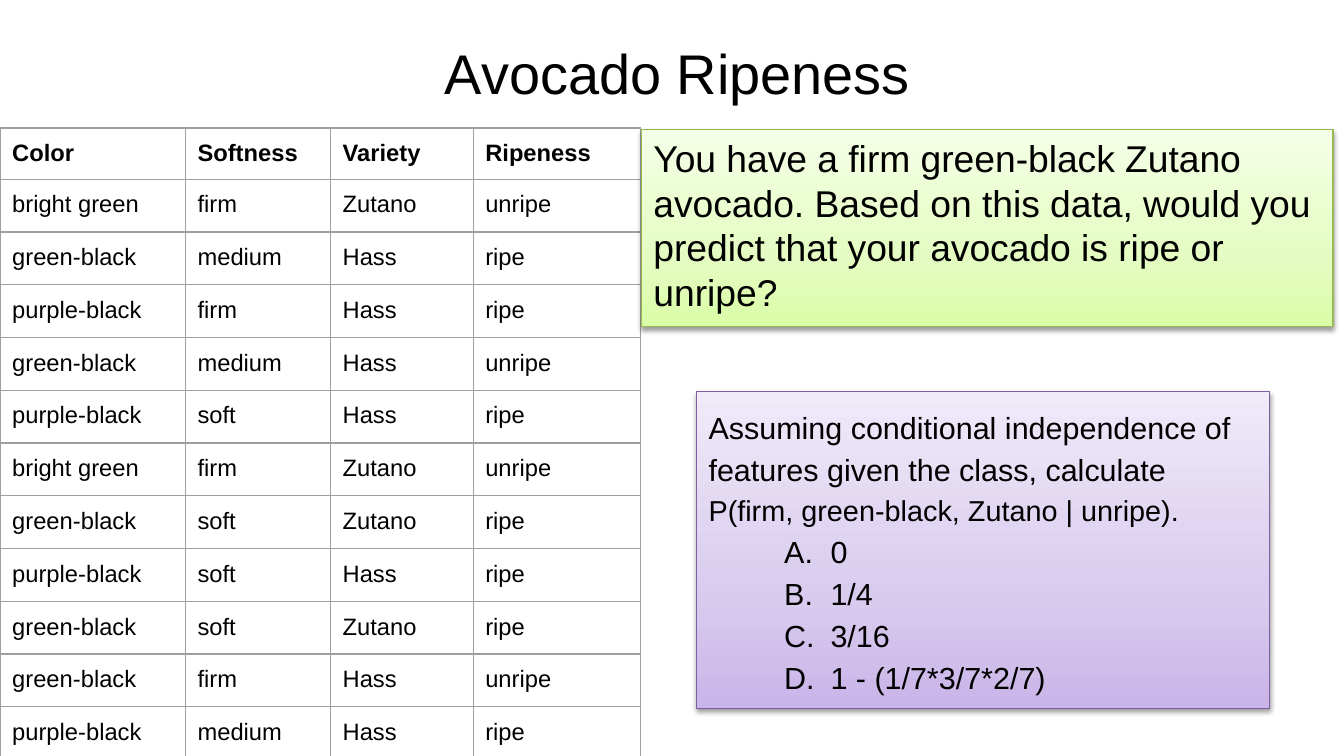
"""Build the Avocado Ripeness slide with its data table, prompt and quiz."""
from copy import deepcopy

from lxml import etree
from pptx import Presentation
from pptx import util as u
from pptx.dml.color import RGBColor
from pptx.enum import shapes, text
from pptx.oxml import ns

BLACK = RGBColor(0x00, 0x00, 0x00)
GREY = RGBColor(0x9E, 0x9E, 0x9E)
GREEN_LINE = RGBColor(0x98, 0xB9, 0x55)
GREEN_STOPS = [RGBColor(0xDA, 0xFD, 0xA7), RGBColor(0xE4, 0xFC, 0xC2), RGBColor(0xF5, 0xFF, 0xE7)]
PURPLE_LINE = RGBColor(0x7D, 0x60, 0xA0)
PURPLE_STOPS = [RGBColor(0xC9, 0xB5, 0xE8), RGBColor(0xD8, 0xCB, 0xEE), RGBColor(0xF0, 0xEA, 0xF9)]

AVOCADOS = [
    ("Color", "Softness", "Variety", "Ripeness"),
    ("bright green", "firm", "Zutano", "unripe"),
    ("green-black", "medium", "Hass", "ripe"),
    ("purple-black", "firm", "Hass", "ripe"),
    ("green-black", "medium", "Hass", "unripe"),
    ("purple-black", "soft", "Hass", "ripe"),
    ("bright green", "firm", "Zutano", "unripe"),
    ("green-black", "soft", "Zutano", "ripe"),
    ("purple-black", "soft", "Hass", "ripe"),
    ("green-black", "soft", "Zutano", "ripe"),
    ("green-black", "firm", "Hass", "unripe"),
    ("purple-black", "medium", "Hass", "ripe"),
]
COLUMN_WIDTHS = [1.52, 1.19, 1.17, 1.37]
ANSWERS = ["0", "1/4", "3/16", "1 - (1/7*3/7*2/7)"]


def add_run(p, words, size, bold=False):
    r = p.add_run()
    r.text = words
    r.font.name = "Arial"
    r.font.size = u.Pt(size)
    r.font.bold = bold
    r.font.color.rgb = BLACK


def style_box(sp, colors, line_color, margin_y):
    sp.fill.gradient()
    sp.fill.gradient_angle = 90
    stops = sp._element.spPr.find(ns.qn("a:gradFill")).find(ns.qn("a:gsLst"))
    stops.insert(1, deepcopy(stops[0]))
    for stop, color, position in zip(sp.fill.gradient_stops, colors, (0, 0.35, 1)):
        stop.color.rgb = color
        stop.position = position
    sp.line.color.rgb = line_color
    sp.line.width = u.Pt(0.75)
    sp.shadow.inherit = False
    effects = sp._element.spPr.find(ns.qn("a:effectLst"))
    shadow = etree.SubElement(effects, ns.qn("a:outerShdw"), blurRad=str(u.Pt(3.1)),
                              dist=str(u.Pt(1.6)), dir="5400000", rotWithShape="0")
    shade = etree.SubElement(shadow, ns.qn("a:srgbClr"), val=str(BLACK))
    etree.SubElement(shade, ns.qn("a:alpha"), val="38000")
    tf = sp.text_frame
    tf.word_wrap = True
    tf.auto_size = text.MSO_AUTO_SIZE.NONE
    tf.vertical_anchor = text.MSO_ANCHOR.TOP
    tf.margin_left = tf.margin_right = u.Inches(0.1)
    tf.margin_top = tf.margin_bottom = u.Inches(margin_y)


prs = Presentation()
prs.slide_width, prs.slide_height = u.Inches(11.02), u.Inches(6.2)
s = prs.slides.add_slide(prs.slide_layouts[1])

title = s.shapes.title
title.left, title.top = u.Inches(0.32), u.Inches(0.24)
title.width, title.height = u.Inches(10.47), u.Inches(0.71)
tf = title.text_frame
tf.auto_size = text.MSO_AUTO_SIZE.NONE
tf.vertical_anchor = text.MSO_ANCHOR.MIDDLE
tf.margin_left = tf.margin_right = tf.margin_top = tf.margin_bottom = 0
p = tf.paragraphs[0]
p.alignment = text.PP_ALIGN.CENTER
add_run(p, "Avocado Ripeness", 33)

table = s.shapes.add_table(len(AVOCADOS), len(COLUMN_WIDTHS), 0, u.Inches(1.05),
                           u.Inches(5.25), u.Inches(5.18)).table
table.first_row = table.horz_banding = False
for column, width in zip(table.columns, COLUMN_WIDTHS):
    column.width = u.Inches(width)
for i, values in enumerate(AVOCADOS):
    table.rows[i].height = u.Inches(0.42) if i == 0 else int(u.Inches(4.76) / 11)
    for j, value in enumerate(values):
        cell = table.cell(i, j)
        cell.margin_left = cell.margin_right = u.Inches(0.1)
        cell.margin_top = cell.margin_bottom = u.Inches(0.1)
        for side in ("a:lnL", "a:lnR", "a:lnT", "a:lnB"):
            border = etree.SubElement(cell._tc.get_or_add_tcPr(), ns.qn(side), w=str(u.Pt(0.75)))
            paint = etree.SubElement(border, ns.qn("a:solidFill"))
            etree.SubElement(paint, ns.qn("a:srgbClr"), val=str(GREY))
        cell.fill.background()
        add_run(cell.text_frame.paragraphs[0], value, 14, bold=i == 0)

prompt = s.shapes.add_shape(shapes.MSO_SHAPE.RECTANGLE, u.Inches(5.26), u.Inches(1.06),
                            u.Inches(5.67), u.Inches(1.62))
style_box(prompt, GREEN_STOPS, GREEN_LINE, 0.05)
p = prompt.text_frame.paragraphs[0]
p.alignment = text.PP_ALIGN.LEFT
add_run(p, "You have a firm green-black Zutano avocado. Based on this data, "
           "would you predict that your avocado is ripe or unripe?", 22)

quiz = s.placeholders[1]
quiz.left, quiz.top = u.Inches(5.71), u.Inches(3.21)
quiz.width, quiz.height = u.Inches(4.7), u.Inches(2.6)
style_box(quiz, PURPLE_STOPS, PURPLE_LINE, 0.1)
tf = quiz.text_frame
p = tf.paragraphs[0]
add_run(p, "Assuming conditional independence of features given the class, calculate ", 18)
add_run(p, "P(firm, green-black, Zutano | unripe).", 17)
for answer in ANSWERS:
    add_run(tf.add_paragraph(), answer, 18)
for i, p in enumerate(tf.paragraphs):
    p.line_spacing = 1.15
    p.space_before = p.space_after = u.Pt(0)
    pPr = p._p.get_or_add_pPr()
    pPr.set("marL", str(u.Inches(1) if i else 0))
    pPr.set("indent", str(u.Inches(-0.38) if i else 0))
    if i:
        bullet_color = etree.SubElement(pPr, ns.qn("a:buClr"))
        etree.SubElement(bullet_color, ns.qn("a:srgbClr"), val=str(BLACK))
        etree.SubElement(pPr, ns.qn("a:buFont"), typeface="Arial")
        etree.SubElement(pPr, ns.qn("a:buAutoNum"), type="alphaUcPeriod")
    else:
        etree.SubElement(pPr, ns.qn("a:buNone"))

prs.save("out.pptx")
